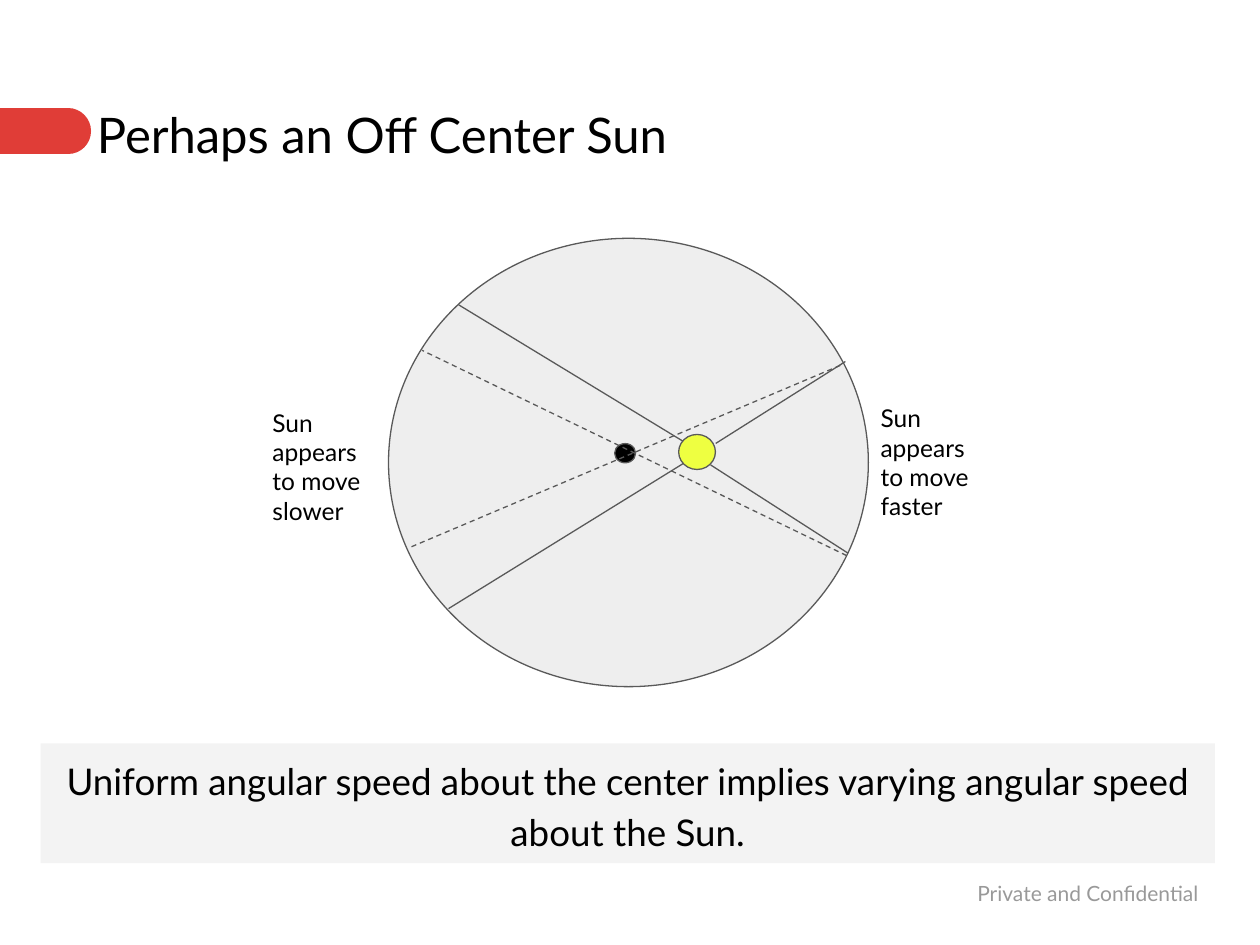
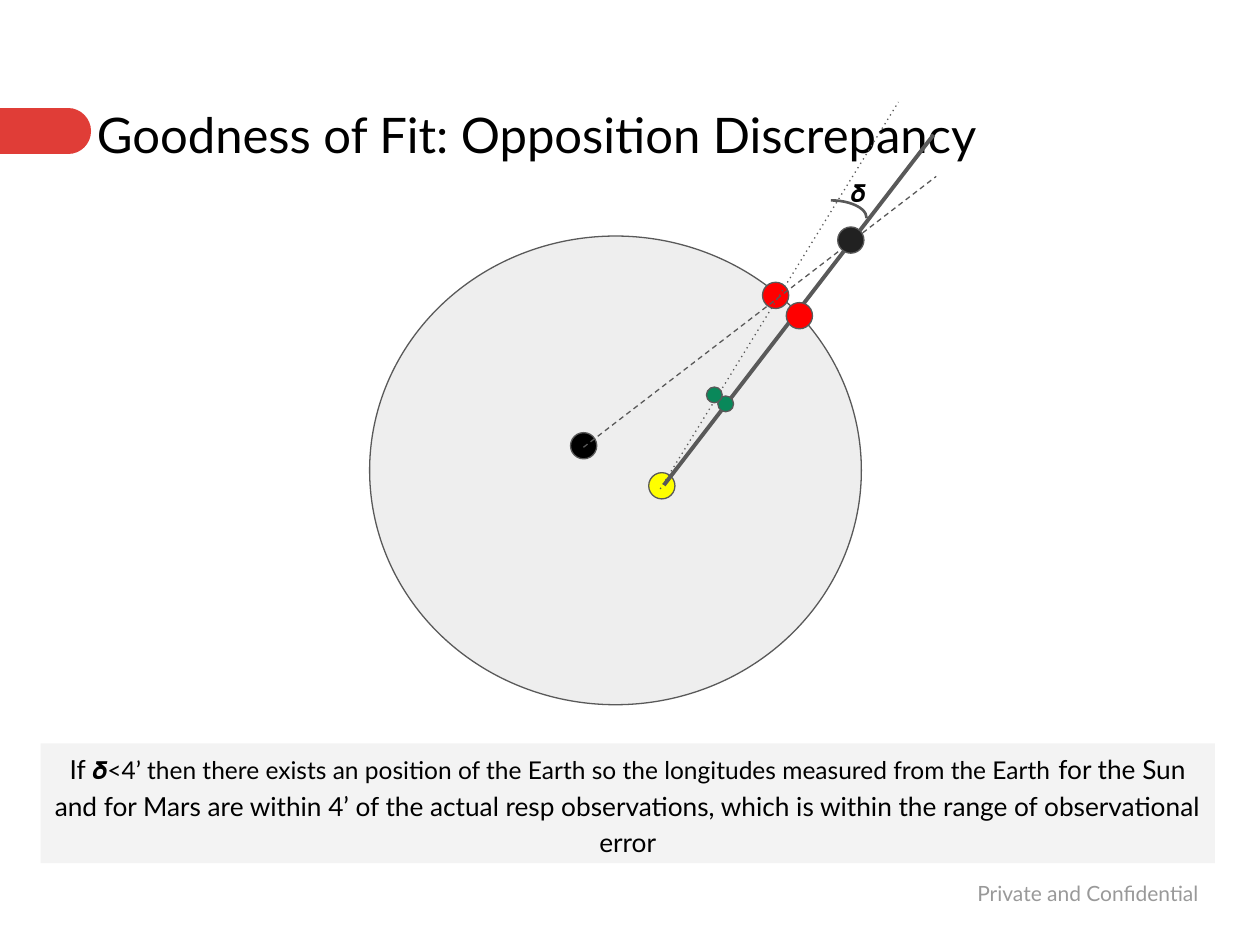
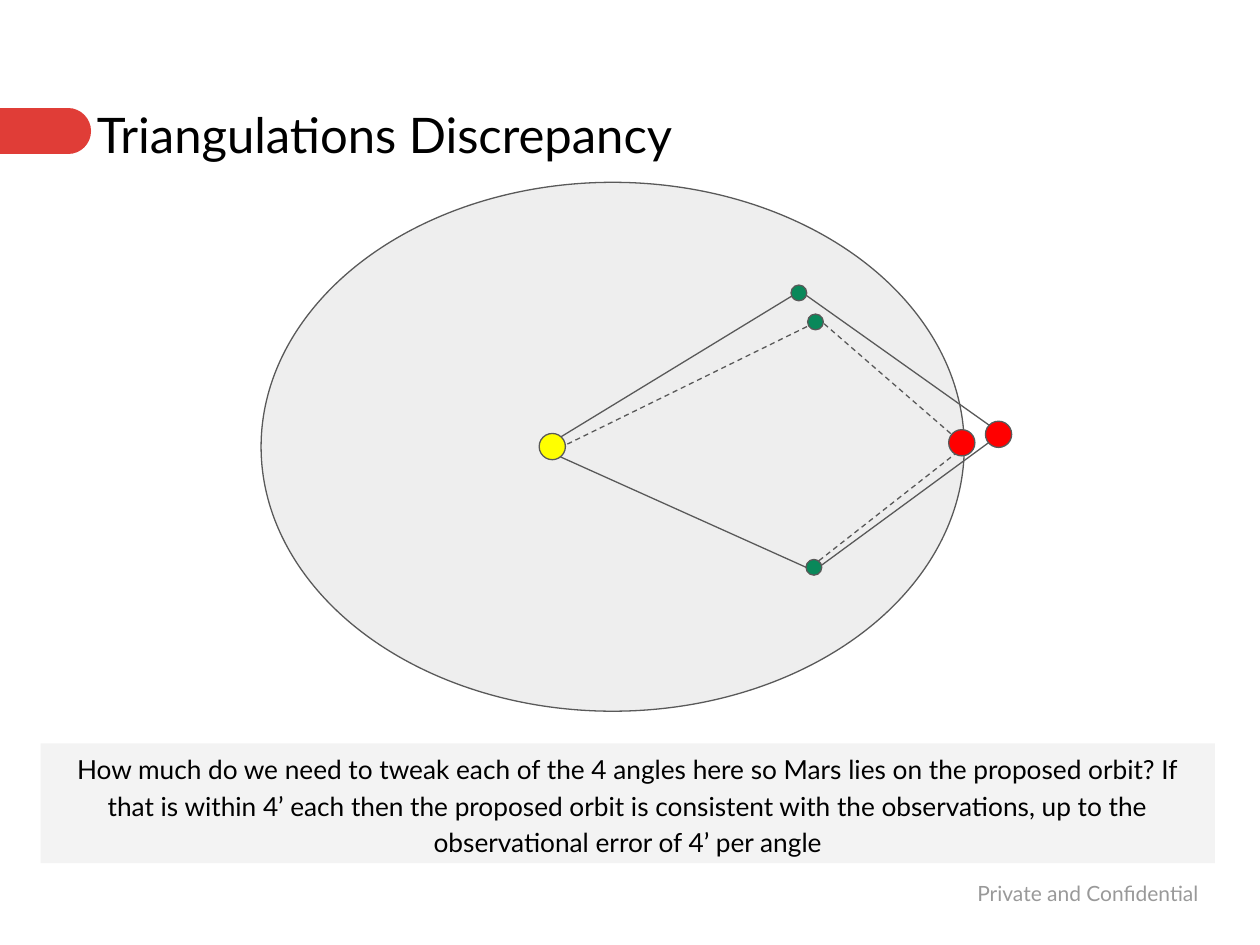
import dataclasses

import lxml.etree
import pptx
import pptx.dml.color
import pptx.enum.shapes
import pptx.enum.text
import pptx.oxml.ns
import pptx.util

Pt = pptx.util.Pt
Align = pptx.enum.text.PP_ALIGN
Anchor = pptx.enum.text.MSO_ANCHOR
Preset = pptx.enum.shapes.MSO_SHAPE
qn = pptx.oxml.ns.qn


@dataclasses.dataclass(frozen=True)
class Theme:
    font: str = "Lato"
    text: str = "000000"
    muted: str = "999999"
    accent: str = "E03D37"
    outline: str = "595959"
    orbit: str = "EEEEEE"
    panel: str = "F3F3F3"
    glow: str = "EEFF41"
    sun: str = "FFFF00"
    mars: str = "FF0000"
    earth: str = "09885A"
    equant: str = "212121"
    center: str = "000000"
    title_size: float = 28
    headline_size: float = 21
    caption_size: float = 15
    label_size: float = 14
    footer_size: float = 12
    inset: float = 7.2
    hairline: float = 0.75
    body_size: float = 15
    earth_size: float = 9


def rgb(value):
    return pptx.dml.color.RGBColor.from_string(value)


class Deck:
    def __init__(self, theme):
        self.theme = theme
        self.presentation = pptx.Presentation()
        self.presentation.slide_width = Pt(720)
        self.presentation.slide_height = Pt(540)
        self.slide = None

    def start_slide(self, heading):
        theme = self.theme
        self.slide = self.presentation.slides.add_slide(self.presentation.slide_layouts[5])
        title = self.slide.shapes.title
        title.left, title.top, title.width, title.height = Pt(48.2), Pt(52.6), Pt(671), Pt(59.8)
        self.set_text(title.text_frame, [(heading, theme.title_size)])
        self.line((-5, 75), (38.9, 75), color=theme.accent, width=26.25, cap="rnd")
        self.label("Private and Confidential", (527, 493.2, 165, 34.6), theme.footer_size,
                   theme.muted, Align.RIGHT, Anchor.MIDDLE)

    def set_text(self, frame, pieces, color=None, align=Align.LEFT, anchor=Anchor.TOP, spacing=None):
        theme = self.theme
        frame.word_wrap = True
        frame.auto_size = pptx.enum.text.MSO_AUTO_SIZE.NONE
        frame.vertical_anchor = anchor
        frame.margin_left = frame.margin_right = Pt(theme.inset)
        frame.margin_top = frame.margin_bottom = Pt(theme.inset)
        paragraph = frame.paragraphs[0]
        paragraph.alignment = align
        if spacing:
            paragraph.line_spacing = spacing
        for words, size in pieces:
            run = paragraph.add_run()
            run.text = words
            run.font.name = theme.font
            run.font.size = Pt(size)
            run.font.color.rgb = rgb(color or theme.text)

    def label(self, words, box, size, color=None, align=Align.LEFT, anchor=Anchor.TOP):
        holder = self.slide.shapes.add_textbox(*map(Pt, box))
        self.set_text(holder.text_frame, [(words, size)], color, align, anchor)

    def shape(self, preset, box, fill=None, width=None):
        outline = self.slide.shapes.add_shape(preset, *map(Pt, box))
        outline.shadow.inherit = False
        if fill:
            outline.fill.solid()
            outline.fill.fore_color.rgb = rgb(fill)
        else:
            outline.fill.background()
        if width:
            outline.line.color.rgb = rgb(self.theme.outline)
            outline.line.width = Pt(width)
        else:
            outline.line.fill.background()
        return outline

    def caption(self, *pieces):
        panel = self.shape(Preset.RECTANGLE, (23.2, 424.8, 671, 68.4), self.theme.panel)
        self.set_text(panel.text_frame, pieces, align=Align.CENTER, anchor=Anchor.MIDDLE,
                      spacing=1.15)

    def oval(self, box, fill):
        self.shape(Preset.OVAL, box, fill, self.theme.hairline)

    def orbit(self, *box):
        self.oval(box, self.theme.orbit)

    def body(self, x, y, fill, size=None):
        size = size or self.theme.body_size
        self.oval((x - size / 2, y - size / 2, size, size), fill)

    def earth(self, x, y):
        self.body(x, y, self.theme.earth, self.theme.earth_size)

    def arc(self, box, start, end, width):
        angle = self.shape(Preset.ARC, box, width=width)
        angle.adjustments[0] = start
        angle.adjustments[1] = end

    def line(self, begin, end, dash=None, color=None, width=None, cap=None):
        link = self.slide.shapes.add_connector(
            pptx.enum.shapes.MSO_CONNECTOR.STRAIGHT, *map(Pt, begin + end))
        link.line.color.rgb = rgb(color or self.theme.outline)
        link.line.width = Pt(width or self.theme.hairline)
        properties = link._element.spPr
        stroke = properties.find(qn("a:ln"))
        if cap:
            stroke.set("cap", cap)
        if dash:
            lxml.etree.SubElement(stroke, qn("a:prstDash")).set("val", dash)
        lxml.etree.SubElement(properties, qn("a:effectLst"))


def off_center_sun(deck):
    theme = deck.theme
    deck.start_slide("Perhaps an Off Center Sun")
    deck.orbit(222, 136.2, 274.2, 256.2)
    deck.caption(("Uniform angular speed about the center implies varying angular speed about the Sun.",
                  theme.headline_size))
    for pace, left, top in (("faster", 496.1, 223.2), ("slower", 148.6, 225.7)):
        deck.label(f"Sun appears to move {pace}", (left, top, 78.5, 82), theme.label_size)
    sight_lines = (
        ((409, 253.4), (483.1, 206.6)),
        ((406.1, 265.7), (484.6, 316.1)),
        ((256.3, 347.8), (399.6, 259.2)),
        ((262.1, 174.2), (396, 255.6)),
    )
    for begin, end in sight_lines:
        deck.line(begin, end)
    deck.oval((387.8, 248.3, 21, 20), theme.glow)
    deck.oval((351.2, 253.5, 12, 11), theme.center)
    deck.line((480.2, 208.8), (233.3, 313.2), "dash")
    deck.line((483.8, 317.5), (241.2, 200.2), "dash")


def opposition_discrepancy(deck):
    theme = deck.theme
    deck.start_slide("Goodness of Fit: Opposition Discrepancy")
    deck.caption(
        ("If ", theme.caption_size),
        ("𝜹<4’ then there exists an position of the Earth so the longitudes measured from the Earth",
         theme.label_size),
        (" for the Sun and for Mars are within 4’ of the actual resp observations, "
         "which is within the range of observational error", theme.caption_size))
    deck.orbit(211.2, 134.9, 281, 267.8)
    deck.body(443.2, 168.8, theme.mars)
    deck.body(378.2, 277.6, theme.sun)
    deck.body(333.5, 254.7, theme.center)
    deck.line((379.4, 277.2), (533.5, 77), width=2.25)
    deck.line((333.4, 255.6), (535, 100.8), "dash")
    deck.body(456.8, 180.4, theme.mars)
    deck.line((377.3, 279.4), (513.4, 58.3), "dot")
    deck.arc((454.3, 114.5, 41, 20.2), 162, 0, 1.5)
    deck.label("𝜹", (478.8, 94.3, 24.5, 31.7), theme.label_size)
    deck.body(486.2, 137.2, theme.equant)
    deck.earth(414.7, 230.8)
    deck.earth(408.2, 225.7)


def triangulations_discrepancy(deck):
    theme = deck.theme
    deck.start_slide("Triangulations Discrepancy")
    deck.orbit(149.2, 104.2, 401.8, 302.2)
    deck.caption((
        "How much do we need to tweak each of the 4 angles here so Mars lies on the proposed orbit? "
        "If that is within 4’ each then the proposed orbit is consistent with the observations, "
        "up to the observational error of 4’ per angle", theme.caption_size))
    sun, upper_earth, lower_earth = (309.6, 256.3), (457.2, 166.3), (465.1, 326.2)
    proposed_mars = (551.5, 254.9)
    deck.line(sun, upper_earth)
    deck.line(sun, lower_earth)
    deck.line(upper_earth, (568.8, 245.5))
    deck.line(lower_earth, (570.2, 249.1))
    deck.body(570.6, 248.2, theme.mars)
    deck.earth(456.5, 167.4)
    deck.earth(465.1, 324.2)
    deck.line((470.9, 185), proposed_mars, "dash")
    deck.line((468, 320.4), proposed_mars, "dash")
    deck.body(549.6, 253, theme.mars)
    deck.line((310.3, 260.6), (467.3, 183.6), "dash")
    deck.body(315.6, 255.2, theme.sun)
    deck.earth(466, 184)


def main():
    deck = Deck(Theme())
    off_center_sun(deck)
    opposition_discrepancy(deck)
    triangulations_discrepancy(deck)
    deck.presentation.save("out.pptx")


if __name__ == "__main__":
    main()
